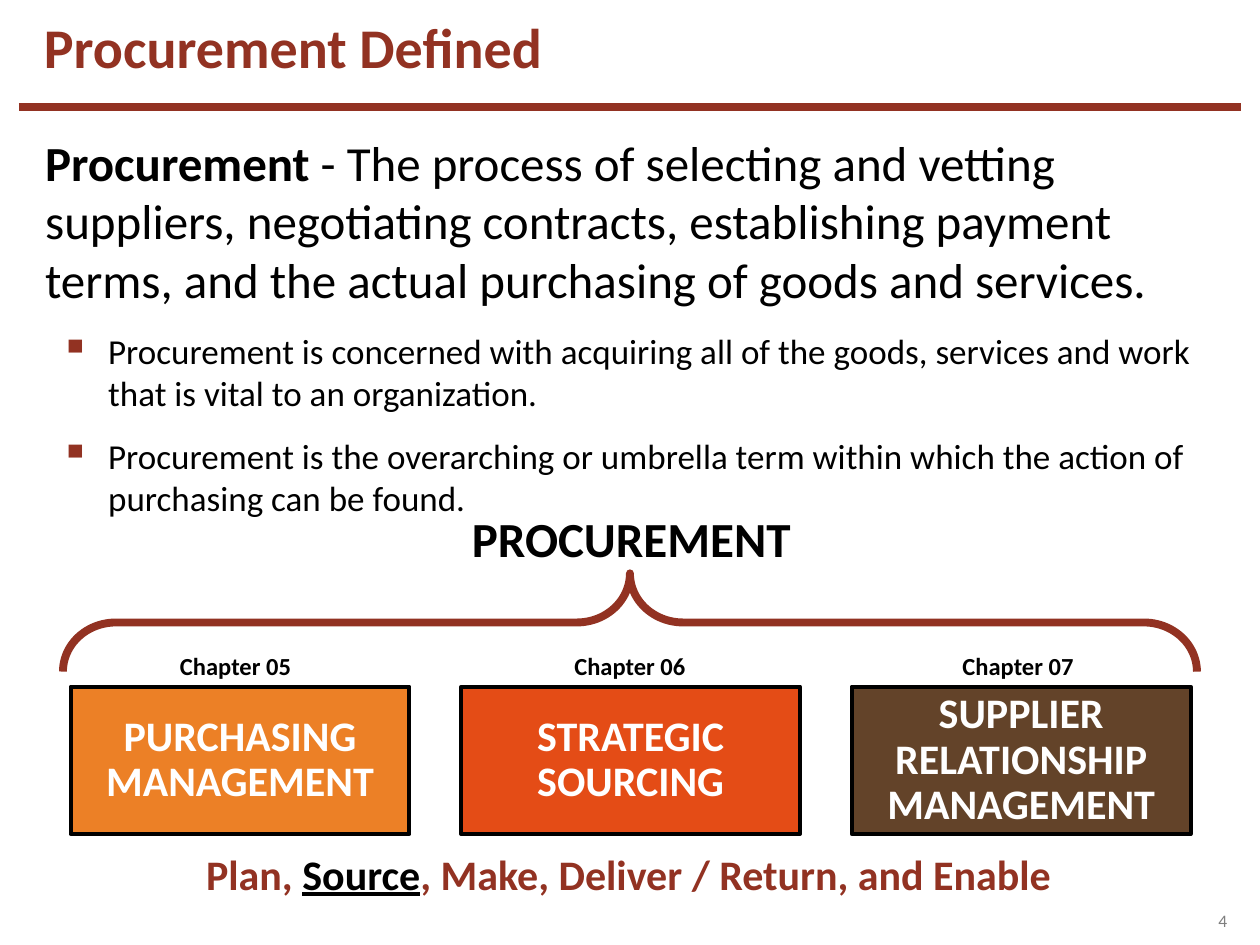
from lxml.etree import SubElement
from pptx import Presentation
from pptx.dml.color import RGBColor
from pptx.enum.shapes import MSO_CONNECTOR, MSO_SHAPE
from pptx.enum.text import MSO_ANCHOR, PP_ALIGN
from pptx.oxml.ns import qn
from pptx.util import Pt

PX = 9144  # 100 px to the inch
RED, BLACK, WHITE, GREY = "923222", "000000", "FFFFFF", "7F7F7F"


def style(run, size, color, bold=True):
    run.font.name = "Calibri"
    run.font.size = Pt(size)
    run.font.bold = bold
    run.font.color.rgb = RGBColor.from_string(color)


def add_text(left, top, width, height, text, size, color, bold=True,
             align=PP_ALIGN.LEFT, anchor=MSO_ANCHOR.TOP, wrap=True):
    box = slide.shapes.add_textbox(left * PX, top * PX, width * PX, height * PX)
    frame = box.text_frame
    frame.text = text
    frame.word_wrap = wrap
    frame.vertical_anchor = anchor
    frame.paragraphs[0].alignment = align
    style(frame.paragraphs[0].runs[0], size, color, bold)
    return frame


presentation = Presentation()
presentation.slide_width = 1000 * PX
presentation.slide_height = 750 * PX
slide = presentation.slides.add_slide(presentation.slide_layouts[6])

# Title and rule
title = add_text(25, 14, 949, 54, "Procurement Defined", 32, RED, anchor=MSO_ANCHOR.BOTTOM)
title.paragraphs[0].line_spacing = 0.8
rule = slide.shapes.add_connector(MSO_CONNECTOR.STRAIGHT, 15 * PX, 85 * PX, 985 * PX, 85 * PX)
rule.line.color.rgb = RGBColor.from_string(RED)
rule.line.width = Pt(4.5)
SubElement(rule._element.spPr, qn("a:effectLst"))

# Definition and bullets
body = add_text(26, 100, 948, 300, "Procurement", 28, BLACK)
definition = body.paragraphs[0]
definition.space_after = Pt(6)
run = definition.add_run()
run.text = (" - The process of selecting and vetting suppliers, negotiating contracts, "
            "establishing payment terms, and the actual purchasing of goods and services.")
style(run, 28, BLACK, bold=False)

for text in (
    "Procurement is concerned with acquiring all of the goods, services and work "
    "that is vital to an organization.",
    "Procurement is the overarching or umbrella term within which the action of "
    "purchasing can be found.",
):
    paragraph = body.add_paragraph()
    paragraph.text = text
    paragraph.level = 1
    paragraph.space_before = paragraph.space_after = Pt(6)
    properties = paragraph._p.get_or_add_pPr()
    properties.set("marL", str(50 * PX))
    properties.set("indent", str(-38 * PX))
    bullet_color = SubElement(properties, qn("a:buClr"))
    SubElement(bullet_color, qn("a:srgbClr"), val=RED)
    SubElement(properties, qn("a:buSzPct"), val="115000")
    SubElement(properties, qn("a:buChar"), char="▪")
    style(paragraph.runs[0], 20, BLACK, bold=False)

# Procurement brace over the three chapters
brace = slide.shapes.add_shape(MSO_SHAPE.RIGHT_BRACE, 461 * PX, 44 * PX, 78 * PX, 900 * PX)
brace.rotation = 270
brace.adjustments[0] = 0.54
brace.adjustments[1] = 0.5
brace.shadow.inherit = False
brace.fill.background()
brace.line.color.rgb = RGBColor.from_string(RED)
brace.line.width = Pt(4.5)
add_text(363, 399, 276, 57, "PROCUREMENT", 28, BLACK, align=PP_ALIGN.CENTER, wrap=False)

chapters = [
    ("Chapter 05", 133, "PURCHASING\nMANAGEMENT", "EC8026"),
    ("Chapter 06", 446, "STRATEGIC\nSOURCING", "E44C16"),
    ("Chapter 07", 754, "SUPPLIER RELATIONSHIP MANAGEMENT", "634329"),
]
for index, (chapter, label_left, topic, color) in enumerate(chapters):
    box = slide.shapes.add_shape(MSO_SHAPE.RECTANGLE, (56 + 310 * index) * PX, 545 * PX,
                                 269 * PX, 117 * PX)
    box.shadow.inherit = False
    box.fill.solid()
    box.fill.fore_color.rgb = RGBColor.from_string(color)
    box.line.color.rgb = RGBColor.from_string(BLACK)
    box.line.width = Pt(2.25)
    frame = box.text_frame
    frame.text = topic
    frame.word_wrap = True
    frame.vertical_anchor = MSO_ANCHOR.MIDDLE
    frame.margin_left = frame.margin_right = frame.margin_top = frame.margin_bottom = 10 * PX
    for paragraph in frame.paragraphs:
        paragraph.alignment = PP_ALIGN.CENTER
        paragraph.line_spacing = 0.9
        style(paragraph.runs[0], 24, WHITE)
    add_text(label_left, 512, 109, 34, chapter, 14, BLACK, wrap=False)

# Process steps and slide number
steps = add_text(49, 669, 900, 48, "Plan, ", 24, RED,
                 align=PP_ALIGN.CENTER, anchor=MSO_ANCHOR.MIDDLE)
for text, color in (("Source", BLACK), (", Make, Deliver / Return, and Enable", RED)):
    run = steps.paragraphs[0].add_run()
    run.text = text
    style(run, 24, color)
    run.font.underline = text == "Source"

number = add_text(967, 721, 21, 19, "4", 10, GREY, bold=False, anchor=MSO_ANCHOR.MIDDLE)
number.margin_left = number.margin_right = number.margin_top = number.margin_bottom = 0

presentation.save("out.pptx")
